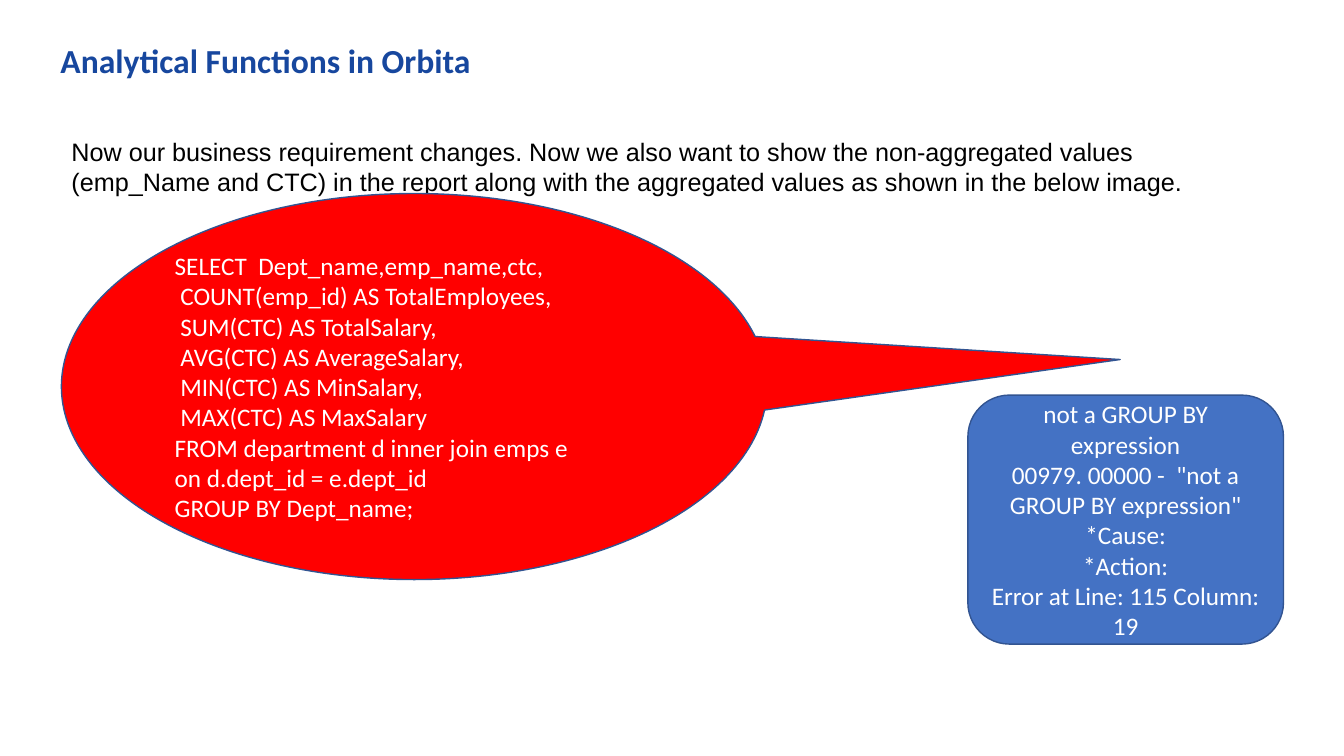
from pptx import Presentation
from pptx.dml.color import RGBColor
from pptx.enum.shapes import MSO_SHAPE
from pptx.enum.text import MSO_ANCHOR, PP_ALIGN
from pptx.util import Inches, Pt

TITLE_BLUE = RGBColor(0x17, 0x47, 0x9E)
BLACK = RGBColor(0, 0, 0)
WHITE = RGBColor(0xFF, 0xFF, 0xFF)
QUERY_RED = RGBColor(0xFF, 0, 0)
ERROR_BLUE = RGBColor(0x44, 0x72, 0xC4)
OUTLINE = RGBColor(0x32, 0x54, 0x91)

TOP, MIDDLE = MSO_ANCHOR.TOP, MSO_ANCHOR.MIDDLE
LEFT, CENTER = PP_ALIGN.LEFT, PP_ALIGN.CENTER
CALLOUT, ROUNDED = MSO_SHAPE.OVAL_CALLOUT, MSO_SHAPE.ROUNDED_RECTANGLE

REQUIREMENT = (
    "Now our business requirement changes. Now we also want to show the "
    "non-aggregated values (emp_Name and CTC) in the report along with the "
    "aggregated values as shown in the below image."
)
QUERY = [
    "SELECT  Dept_name,emp_name,ctc,",
    " COUNT(emp_id) AS TotalEmployees,",
    " SUM(CTC) AS TotalSalary,",
    " AVG(CTC) AS AverageSalary,",
    " MIN(CTC) AS MinSalary,",
    " MAX(CTC) AS MaxSalary",
    "FROM department d inner join emps e",
    "on d.dept_id = e.dept_id",
    "GROUP BY Dept_name;",
]
ERROR = [
    "not a GROUP BY expression",
    '00979. 00000 -  "not a GROUP BY expression"',
    "*Cause:",
    "*Action:",
    "Error at Line: 115 Column: 19",
]


def write(holder, lines, size=18, font="Calibri", color=WHITE, bold=False,
          align=LEFT, anchor=MIDDLE, spacing=None, before=None):
    frame = holder.text_frame
    frame.word_wrap = True
    frame.vertical_anchor = anchor
    for index, line in enumerate(lines):
        paragraph = frame.add_paragraph() if index else frame.paragraphs[0]
        paragraph.alignment = align
        paragraph.line_spacing = spacing
        paragraph.space_before = before
        run = paragraph.add_run()
        run.text = line
        run.font.size = Pt(size)
        run.font.name = font
        run.font.bold = bold
        run.font.color.rgb = color


def add_heading(slide, left, top, width, height):
    heading = slide.shapes.title
    heading.left, heading.top = Inches(left), Inches(top)
    heading.width, heading.height = Inches(width), Inches(height)
    write(heading, ["Analytical Functions in Orbita"], size=24, color=TITLE_BLUE,
          bold=True, anchor=TOP, spacing=1.5, before=Pt(10))


def add_requirement(slide, left, top, width, height):
    requirement = slide.shapes.add_textbox(
        Inches(left), Inches(top), Inches(width), Inches(height))
    write(requirement, [REQUIREMENT], font="Arial", color=BLACK, anchor=TOP)


def add_bubble(slide, preset, fill, left, top, width, height):
    bubble = slide.shapes.add_shape(
        preset, Inches(left), Inches(top), Inches(width), Inches(height))
    bubble.shadow.inherit = False
    bubble.fill.solid()
    bubble.fill.fore_color.rgb = fill
    bubble.line.color.rgb = OUTLINE
    bubble.line.width = Pt(1)
    return bubble


def add_query(slide, *box):
    query = add_bubble(slide, CALLOUT, QUERY_RED, *box)
    query.adjustments[0] = 1.0
    query.adjustments[1] = -0.07
    write(query, QUERY)


def add_error(slide, *box):
    error = add_bubble(slide, ROUNDED, ERROR_BLUE, *box)
    write(error, ERROR, align=CENTER)


def main():
    deck = Presentation()
    deck.slide_width, deck.slide_height = Inches(13.33), Inches(7.5)
    slide = deck.slides.add_slide(deck.slide_layouts[5])
    add_heading(slide, 0.5, 0.15, 9.57, 0.63)
    add_requirement(slide, 0.61, 1.3, 12.12, 0.71)
    add_query(slide, 0.61, 1.92, 7, 3.83)
    add_error(slide, 9.6, 3.92, 3.13, 2.47)
    deck.save("out.pptx")


if __name__ == "__main__":
    main()
